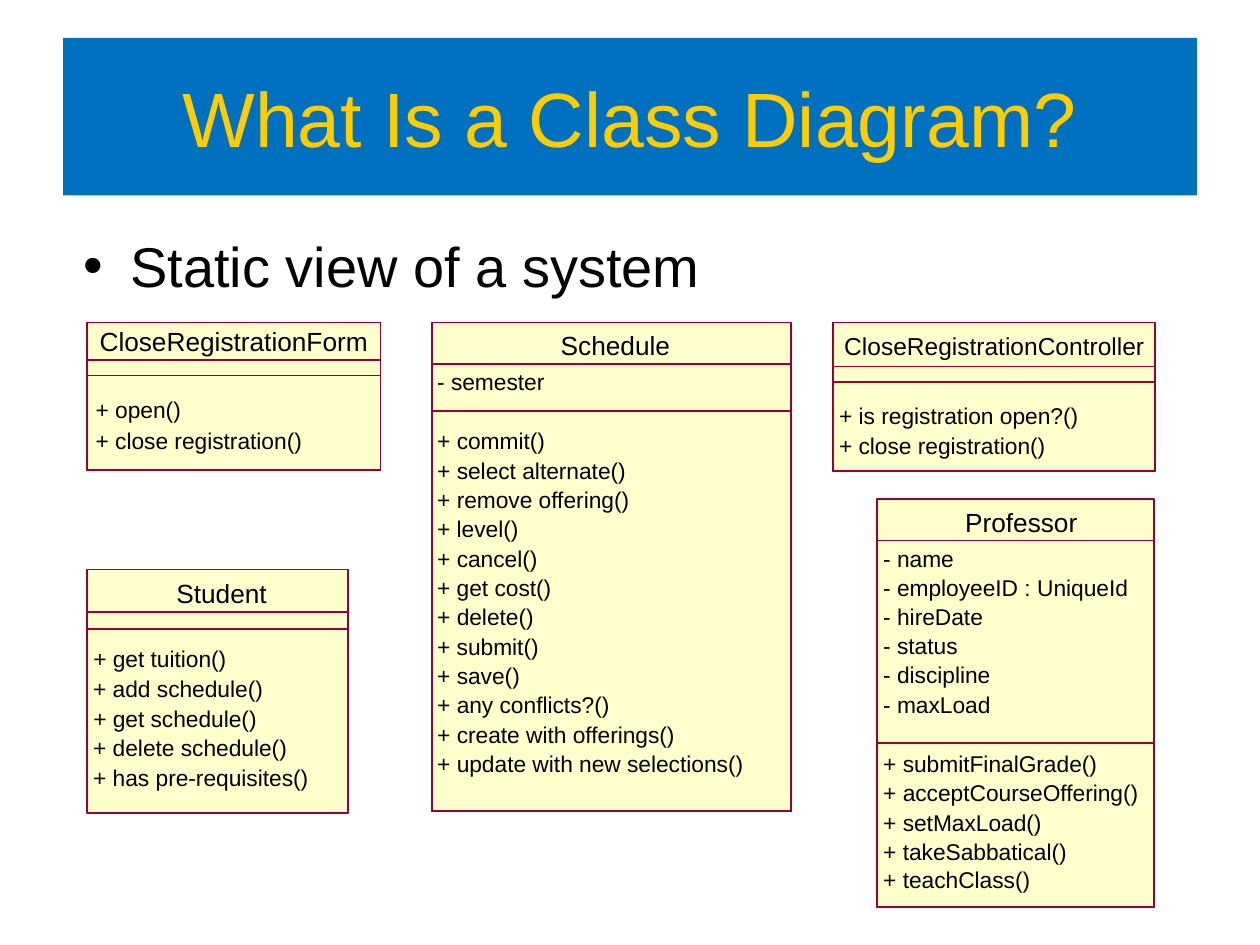
from dataclasses import dataclass, field

from pptx import Presentation
from pptx.dml.color import RGBColor
from pptx.enum.shapes import MSO_SHAPE as Shape
from pptx.enum.text import MSO_ANCHOR as Anchor, MSO_AUTO_SIZE as AutoSize, PP_ALIGN as Align
from pptx.util import Inches, Pt

FONT = "Arial"
BLACK, BLUE, GOLD = "000000", "0070C0", "FFCC00"
CREAM, MAROON = "FFFFCC", "990033"
WIDTH_SLACK = 0.02


@dataclass
class Label:
    text: str
    left: float
    top: float
    width: float
    size: int = 13


@dataclass
class Section:
    first: float
    last: float
    members: list


@dataclass
class ClassBox:
    box: tuple
    name: Label
    dividers: tuple
    member_left: float
    sections: list = field(default_factory=list)


CLASSES = [
    ClassBox((0.69, 2.56, 2.33, 1.17), Label("CloseRegistrationForm", 0.79, 2.58, 2.13, 15),
             (2.86, 2.98), 0.76,
             [Section(3.14, 3.39, [("+ open()", 0.68), ("+ close registration()", 1.64)])]),
    ClassBox((0.69, 4.52, 2.07, 1.93), Label("Student", 1.4, 4.58, 0.72, 15),
             (4.86, 4.99), 0.74,
             [Section(5.12, 6.06, [("+ get tuition()", 1.06), ("+ add schedule()", 1.35),
                                   ("+ get schedule()", 1.3), ("+ delete schedule()", 1.54),
                                   ("+ has pre-requisites()", 1.71)])]),
    ClassBox((3.43, 2.56, 2.85, 3.88), Label("Schedule", 4.45, 2.61, 0.87, 15),
             (2.89, 3.26), 3.47,
             [Section(2.92, 2.92, [("- semester", 0.85)]),
              Section(3.39, 5.95, [("+ commit()", 0.86), ("+ select alternate()", 1.5),
                                   ("+ remove offering()", 1.53), ("+ level()", 0.65),
                                   ("+ cancel()", 0.8), ("+ get cost()", 0.91),
                                   ("+ delete()", 0.77), ("+ submit()", 0.81),
                                   ("+ save()", 0.66), ("+ any conflicts?()", 1.37),
                                   ("+ create with offerings()", 1.89),
                                   ("+ update with new selections()", 2.43)])]),
    ClassBox((6.96, 3.96, 2.2, 3.24), Label("Professor", 7.66, 4.02, 0.89, 15),
             (4.29, 5.9), 7.01,
             [Section(4.32, 5.48, [("- name", 0.56), ("- employeeID : UniqueId", 1.94),
                                   ("- hireDate", 0.79), ("- status", 0.59),
                                   ("- discipline", 0.85), ("- maxLoad", 0.85)]),
              Section(5.95, 6.65, [("+ submitFinalGrade()", 1.7),
                                   ("+ acceptCourseOffering()", 2.03),
                                   ("+ setMaxLoad()", 1.26),
                                   ("+ takeSabbatical()\n+ teachClass()", 1.46)])]),
    ClassBox((6.61, 2.56, 2.56, 1.18), Label("CloseRegistrationController", 6.7, 2.63, 2.39, 14),
             (2.91, 3.03), 6.66,
             [Section(3.19, 3.43, [("+ is registration open?()", 1.9),
                                   ("+ close registration()", 1.64)])]),
]


def color(value):
    return RGBColor.from_string(value)


def place(shape, left, top, width, height):
    shape.left, shape.top = Inches(left), Inches(top)
    shape.width, shape.height = Inches(width), Inches(height)


def format_text(frame, size, ink, align=Align.LEFT):
    for para in frame.paragraphs:
        para.alignment = align
        para.space_before = Pt(0)
        for span in para.runs:
            span.font.name = FONT
            span.font.size = Pt(size)
            span.font.color.rgb = color(ink)


def add_title(page, text, box):
    title = page.shapes.title
    place(title, *box)
    title.fill.solid()
    title.fill.fore_color.rgb = color(BLUE)
    frame = title.text_frame
    frame.text = text
    frame.vertical_anchor = Anchor.MIDDLE
    frame.auto_size = AutoSize.NONE
    format_text(frame, 44, GOLD, Align.CENTER)


def add_body(page, text, box):
    body = page.placeholders[1]
    place(body, *box)
    frame = body.text_frame
    frame.text = text
    frame.auto_size = AutoSize.NONE
    format_text(frame, 32, BLACK)


def add_frame(group, box, fill=None):
    frame = group.shapes.add_shape(Shape.RECTANGLE, *map(Inches, box))
    frame.shadow.inherit = False
    frame.line.color.rgb = color(MAROON)
    frame.line.width = Pt(1)
    if fill:
        frame.fill.solid()
        frame.fill.fore_color.rgb = color(fill)
    else:
        frame.fill.background()


def add_label(group, label):
    lines = label.text.count("\n") + 1
    height = label.size / 60 * lines
    bounds = (label.left, label.top, label.width + WIDTH_SLACK, height)
    frame = group.shapes.add_textbox(*map(Inches, bounds)).text_frame
    frame.margin_left = frame.margin_right = frame.margin_top = frame.margin_bottom = 0
    frame.word_wrap = False
    frame.auto_size = AutoSize.SHAPE_TO_FIT_TEXT
    frame.text = label.text
    format_text(frame, label.size, BLACK)


def add_class(page, item):
    group = page.shapes.add_group_shape()
    left, top, width, height = item.box
    add_frame(group, item.box, CREAM)
    add_label(group, item.name)
    for divider in item.dividers:
        add_frame(group, (left, divider, width, top + height - divider))
    for section in item.sections:
        pitch = (section.last - section.first) / max(len(section.members) - 1, 1)
        for row, (text, text_width) in enumerate(section.members):
            add_label(group, Label(text, item.member_left, section.first + row * pitch, text_width))


def main():
    deck = Presentation()
    deck.slide_width, deck.slide_height = Inches(10), Inches(7.5)
    page = deck.slides.add_slide(deck.slide_layouts[1])
    add_title(page, "What Is a Class Diagram?", (0.5, 0.3, 9, 1.25))
    add_body(page, "Static view of a system", (0.56, 1.79, 9, 4.95))
    for item in CLASSES:
        add_class(page, item)
    deck.save("out.pptx")


if __name__ == "__main__":
    main()
